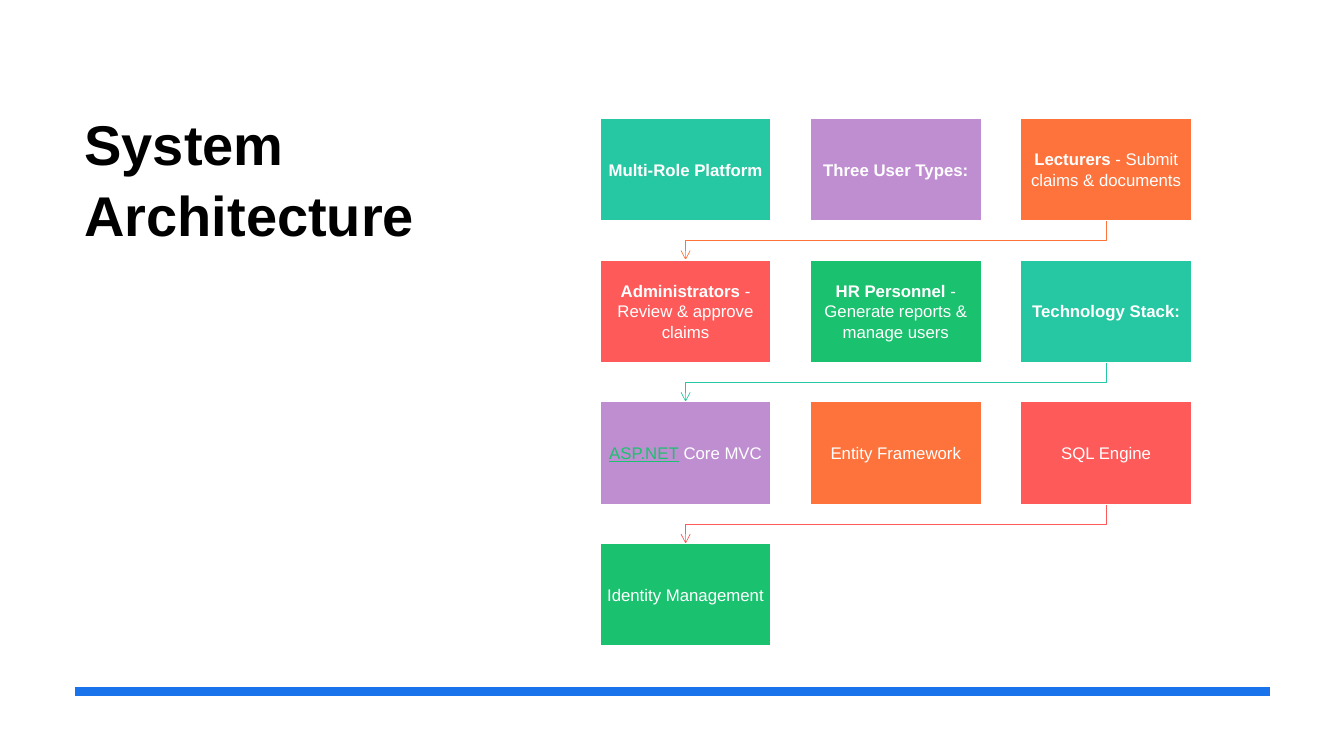
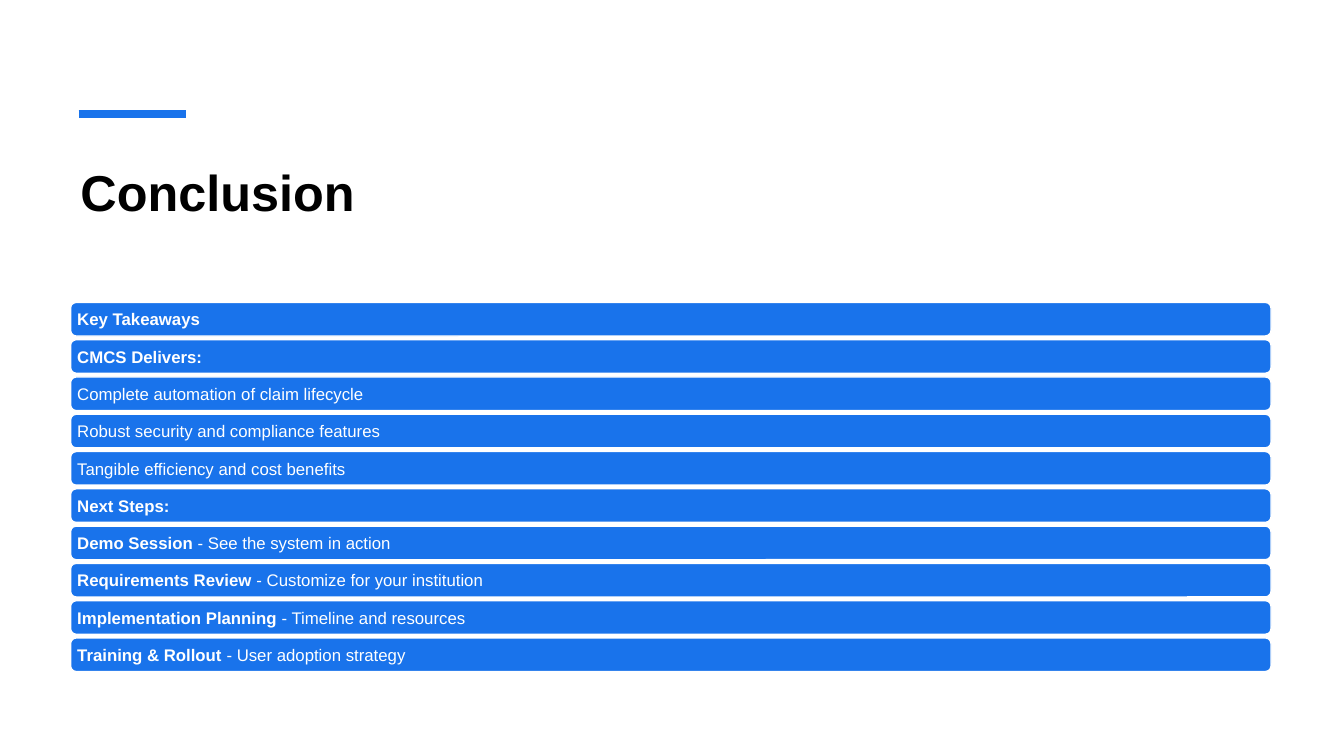
from lxml import etree
from pptx import Presentation
from pptx.dml.color import RGBColor
from pptx.enum import shapes, text
from pptx.oxml.ns import qn
from pptx.util import Pt

HUES = {
    "blue": "1973EB", "white": "FFFFFF", "black": "000000",
    "teal": "25C8A2", "mauve": "BF8ED1", "orange": "FE733C",
    "red": "FE5A5A", "green": "1AC16E",
}
CYCLE = ["teal", "mauve", "orange", "red", "green"]
FONT = "Arial"


def rgb(hue):
    return RGBColor.from_string(HUES[hue])


def write(shape, words, size=12, hue="white", align="LEFT", anchor="MIDDLE",
          pad=(7.2, 3.6), link=False, space=1):
    """Fill a shape with text; words before "|" are bold, or styled as a link."""
    frame = shape.text_frame
    frame.word_wrap = True
    frame.vertical_anchor = text.MSO_ANCHOR[anchor]
    frame.margin_left = frame.margin_right = Pt(pad[0])
    frame.margin_top = frame.margin_bottom = Pt(pad[1])
    para = frame.paragraphs[0]
    para.alignment = text.PP_ALIGN[align]
    para.line_spacing = space
    head, _, tail = words.rpartition("|")
    for part, strong in ((head, True), (tail, False)):
        if part:
            run = para.add_run()
            run.text = part
            font = run.font
            font.name, font.size = FONT, Pt(size)
            font.bold = strong and not link
            font.underline = strong and link
            font.color.rgb = rgb("green" if strong and link else hue)


deck = Presentation()
deck.slide_width, deck.slide_height = Pt(960), Pt(540)

# Shared frame: title box (left, top, width, height, size) and blue rule (x1, x2, y)
plans = [
    ("System Architecture|", (53.3, 72, 289.4, 327.6), 40, (53.3, 907.2, 494)),
    ("Conclusion|", (50.4, 109, 857.5, 86.4), 36, (56.2, 133.2, 81.4)),
]
pages = []
for title, box, size, (x1, x2, y) in plans:
    page = deck.slides.add_slide(deck.slide_layouts[6])
    pages.append(page)
    rule = page.shapes.add_connector(
        shapes.MSO_CONNECTOR.STRAIGHT, Pt(x1), Pt(y), Pt(x2), Pt(y))
    rule.line.color.rgb = rgb("blue")
    rule.line.width = Pt(6)
    etree.SubElement(rule._element.spPr, qn("a:effectLst"))
    write(page.shapes.add_textbox(*map(Pt, box)), title, size=size,
          hue="black", anchor="TOP", space=1.06)
arch, close = pages

# Architecture: grid of boxes, three in a row
roles = [
    "Multi-Role Platform|",
    "Three User Types:|",
    "Lecturers| - Submit claims & documents",
    "Administrators| - Review & approve claims",
    "HR Personnel| - Generate reports & manage users",
    "Technology Stack:|",
    "ASP.NET| Core MVC",
    "Entity Framework",
    "SQL Engine",
    "Identity Management",
]
COLS, LEFT, TOP, WIDE, HIGH = 3, 428.6, 84.4, 122.2, 73.2
STEP_X, STEP_Y = 150.2, 101.3

# Bent arrows from the end of each row to the start of the next
start = LEFT + WIDE / 2
end = start + (COLS - 1) * STEP_X
for row in range((len(roles) - 1) // COLS):
    low = TOP + row * STEP_Y + HIGH
    gap = STEP_Y - HIGH
    bend = arch.shapes.build_freeform(Pt(end), Pt(low))
    bend.add_line_segments(
        [(Pt(end), Pt(low + gap / 2)), (Pt(start), Pt(low + gap / 2)),
         (Pt(start), Pt(low + gap))], close=False)
    arrow = bend.convert_to_shape()
    arrow.shadow.inherit = False
    arrow.fill.background()
    arrow.line.color.rgb = rgb(CYCLE[(row * COLS + COLS - 1) % len(CYCLE)])
    arrow.line.width = Pt(0.5)
    etree.SubElement(arrow.line._get_or_add_ln(), qn("a:tailEnd"),
                     type="arrow", w="med", len="med")

# Every filled box: slide, preset, place, fill, words, text format
RECT = shapes.MSO_SHAPE.RECTANGLE
ROUND = shapes.MSO_SHAPE.ROUNDED_RECTANGLE
boxes = []
for i, words in enumerate(roles):
    row, col = divmod(i, COLS)
    place = (LEFT + col * STEP_X, TOP + row * STEP_Y, WIDE, HIGH)
    look = dict(align="CENTER", pad=(5, 6.3), link=words.startswith("ASP"))
    boxes.append((arch, RECT, place, CYCLE[i % len(CYCLE)], words, look))

# Conclusion: stack of bars
points = [
    "Key Takeaways|",
    "CMCS Delivers:|",
    "Complete automation of claim lifecycle",
    "Robust security and compliance features",
    "Tangible efficiency and cost benefits",
    "Next Steps:|",
    "Demo Session| - See the system in action",
    "Requirements Review| - Customize for your institution",
    "Implementation Planning| - Timeline and resources",
    "Training & Rollout| - User adoption strategy",
]
for i, words in enumerate(points):
    place = (50.4, 216 + i * 26.63, 857.5, 24)
    boxes.append((close, ROUND, place, "blue", words, dict(pad=(3.6, 3.6))))

# Draw the boxes of both slides
for page, kind, place, hue, words, look in boxes:
    box = page.shapes.add_shape(kind, *map(Pt, place))
    box.shadow.inherit = False
    box.fill.solid()
    box.fill.fore_color.rgb = rgb(hue)
    box.line.color.rgb = rgb("white")
    box.line.width = Pt(1)
    write(box, words, **look)

deck.save("out.pptx")
